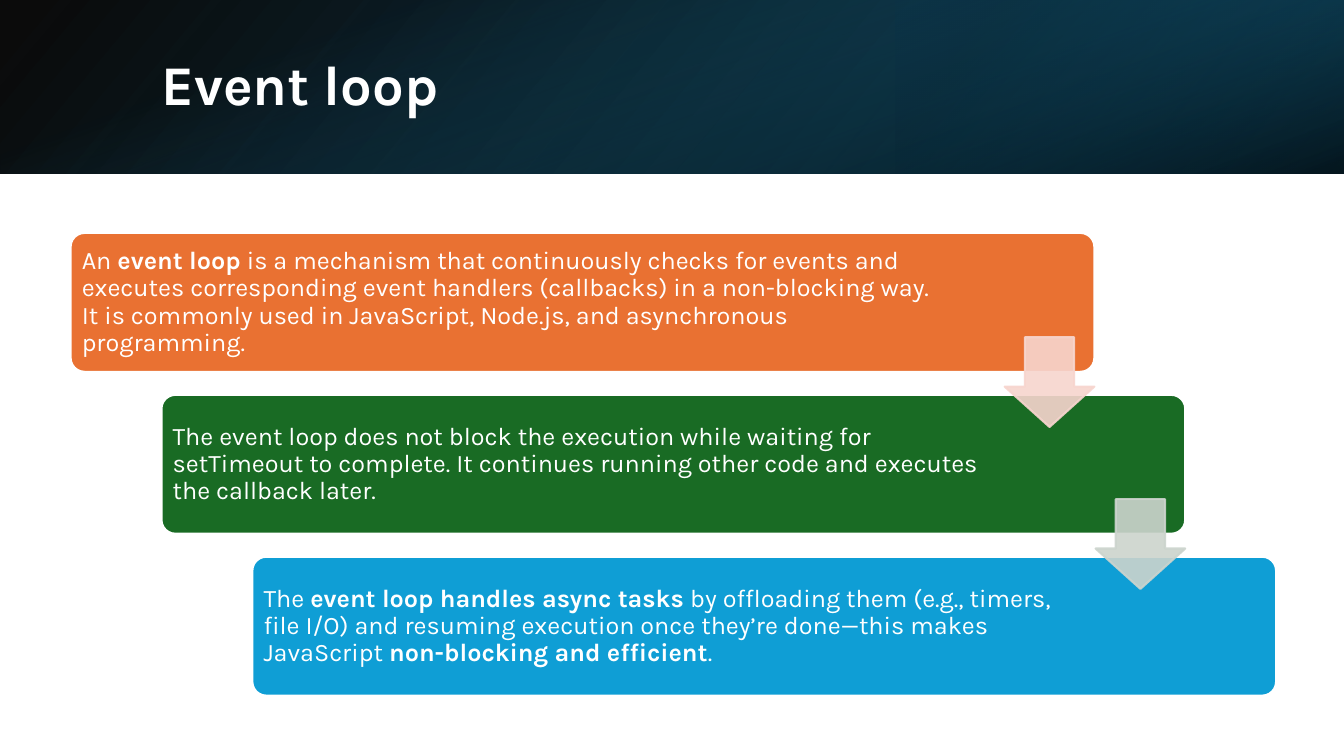
"""Build the "Event loop" slide: a gradient title band and three stepped boxes."""
from lxml import etree
from pptx import Presentation
from pptx.dml.color import RGBColor
from pptx.enum.shapes import MSO_SHAPE as SHAPE
from pptx.enum.text import MSO_ANCHOR as ANCHOR, MSO_AUTO_SIZE as AUTO, PP_ALIGN as ALIGN
from pptx.oxml import parse_xml
from pptx.oxml.ns import nsdecls, qn
from pptx.util import Cm, Pt

FONT, WHITE = "Karla", "FFFFFF"
TITLE = "Event loop"
SLIDE_W, SLIDE_H, BAND_H = 33.87, 19.05, 4.38

# left, top, width, height, rotation, flipped, angle, stops (position, colour, alpha)
BANDS = [
    (0, 0, SLIDE_W, BAND_H, 0, True, 140, [(0, "000000", 96), (100, "104862", 100)]),
    (22.58, 0, 11.29, BAND_H, 180, True, 320, [(19, "0B3041", 68), (100, "156082", 79)]),
    ((SLIDE_W - BAND_H) / 2, (BAND_H - SLIDE_W) / 2, BAND_H, SLIDE_W, 90, False, 340,
     [(23, "156082", 0), (99, "000000", 74)]),
]

# fill, right inset, runs (text, bold)
STEPS = [
    ("E97132", 3.76, [
        ("An ", False), ("event loop", True),
        (" is a mechanism that continuously checks for events and executes corresponding "
         "event handlers (callbacks) in a non-blocking way. It is commonly used in "
         "JavaScript, Node.js, and asynchronous programming.", False)]),
    ("196B24", 4.72, [
        ("The event loop does not block the execution while waiting for setTimeout to "
         "complete. It continues running other code and executes the callback later.", False)]),
    ("0F9ED5", 4.72, [
        ("The ", False), ("event loop handles async tasks", True),
        (" by offloading them (e.g., timers, file I/O) and resuming execution once "
         "they’re done—this makes JavaScript ", False),
        ("non-blocking and efficient", True), (".", False)]),
]
ARROWS = ["F7D5CE", "CCD4CD"]

BOX_X, BOX_Y, BOX_W, BOX_H = 1.78, 5.87, 25.8, 3.5
STEP_X, STEP_Y = 2.29, 4.08
ARROW, ARROW_DROP = 2.26, 2.63


def rgb(color):
    return RGBColor.from_string(color)


def add_shape(s, kind, x, y, w, h):
    sp = s.shapes.add_shape(kind, Cm(x), Cm(y), Cm(w), Cm(h))
    sp.shadow.inherit = False
    return sp


def paint(sp, fill, line, alpha=100):
    sp.fill.solid()
    sp.fill.fore_color.rgb = rgb(fill)
    sp.line.color.rgb = rgb(line)
    sp.line.width = Pt(1.5)
    if alpha < 100:
        for clr in sp._element.spPr.iter(qn("a:srgbClr")):
            etree.SubElement(clr, qn("a:alpha"), val=str(alpha * 1000))


def add_band(s, x, y, w, h, rotation, flipped, angle, stops):
    sp = add_shape(s, SHAPE.RECTANGLE, x, y, w, h)
    sp.rotation = rotation
    sp.line.fill.background()
    spPr = sp._element.spPr
    if flipped:
        spPr.find(qn("a:xfrm")).set("flipH", "1")
    gs = "".join(
        f'<a:gs pos="{pos * 1000}"><a:srgbClr val="{color}">'
        f'<a:alpha val="{alpha * 1000}"/></a:srgbClr></a:gs>' for pos, color, alpha in stops)
    spPr.find(qn("a:prstGeom")).addnext(parse_xml(
        f'<a:gradFill {nsdecls("a")} rotWithShape="1"><a:gsLst>{gs}</a:gsLst>'
        f'<a:lin ang="{angle * 60000}" scaled="0"/></a:gradFill>'))


def write(tf, runs, size):
    tf.word_wrap = True
    tf.auto_size = AUTO.NONE
    tf.vertical_anchor = ANCHOR.MIDDLE
    p = tf.paragraphs[0]
    p.alignment = ALIGN.LEFT
    p.line_spacing = 0.9
    for text, bold in runs:
        r = p.add_run()
        r.text = text
        r.font.name, r.font.size, r.font.bold = FONT, Pt(size), bold
        r.font.color.rgb = rgb(WHITE)


def add_title(s):
    title = s.shapes.title
    title.left, title.top, title.width, title.height = Cm(3.81), Cm(0.97), Cm(27.89), Cm(2.44)
    write(title.text_frame, [(TITLE, True)], 40)
    s.shapes._spTree.append(title._element)


def add_step(s, i, fill, right, runs):
    sp = add_shape(s, SHAPE.ROUNDED_RECTANGLE,
                   BOX_X + i * STEP_X, BOX_Y + i * STEP_Y, BOX_W, BOX_H)
    sp.adjustments[0] = 0.1
    paint(sp, fill, WHITE)
    tf = sp.text_frame
    tf.margin_left = tf.margin_top = tf.margin_bottom = Cm(0.18)
    tf.margin_right = Cm(right)
    write(tf, runs, 18)


def add_arrow(s, i, color):
    sp = add_shape(s, SHAPE.DOWN_ARROW, BOX_X + i * STEP_X + BOX_W - ARROW,
                   BOX_Y + i * STEP_Y + ARROW_DROP, ARROW, ARROW)
    sp.adjustments[0], sp.adjustments[1] = 0.55, 0.45
    paint(sp, color, color, 90)


def main():
    prs = Presentation()
    prs.slide_width, prs.slide_height = Cm(SLIDE_W), Cm(SLIDE_H)
    s = prs.slides.add_slide(prs.slide_layouts[5])
    for band in BANDS:
        add_band(s, *band)
    add_title(s)
    for i, step in enumerate(STEPS):
        add_step(s, i, *step)
    for i, color in enumerate(ARROWS):
        add_arrow(s, i, color)
    prs.save("out.pptx")


if __name__ == "__main__":
    main()
